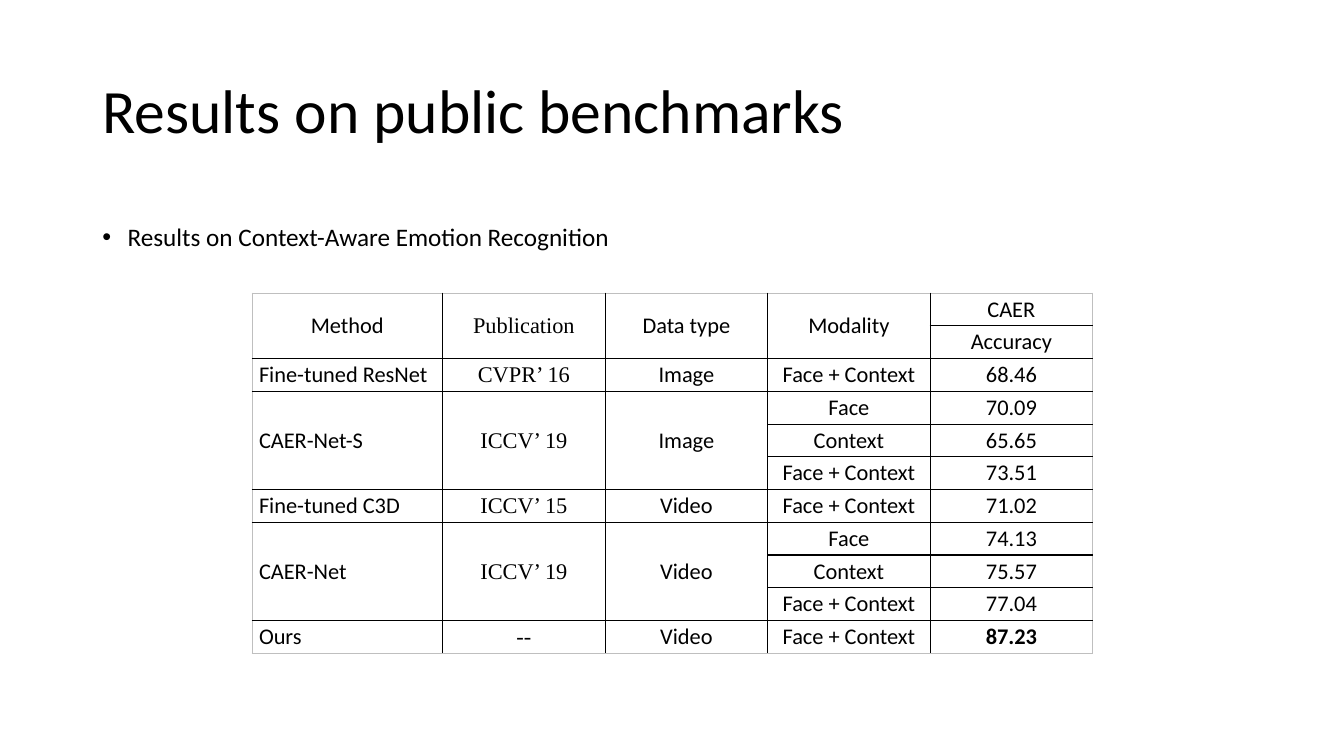
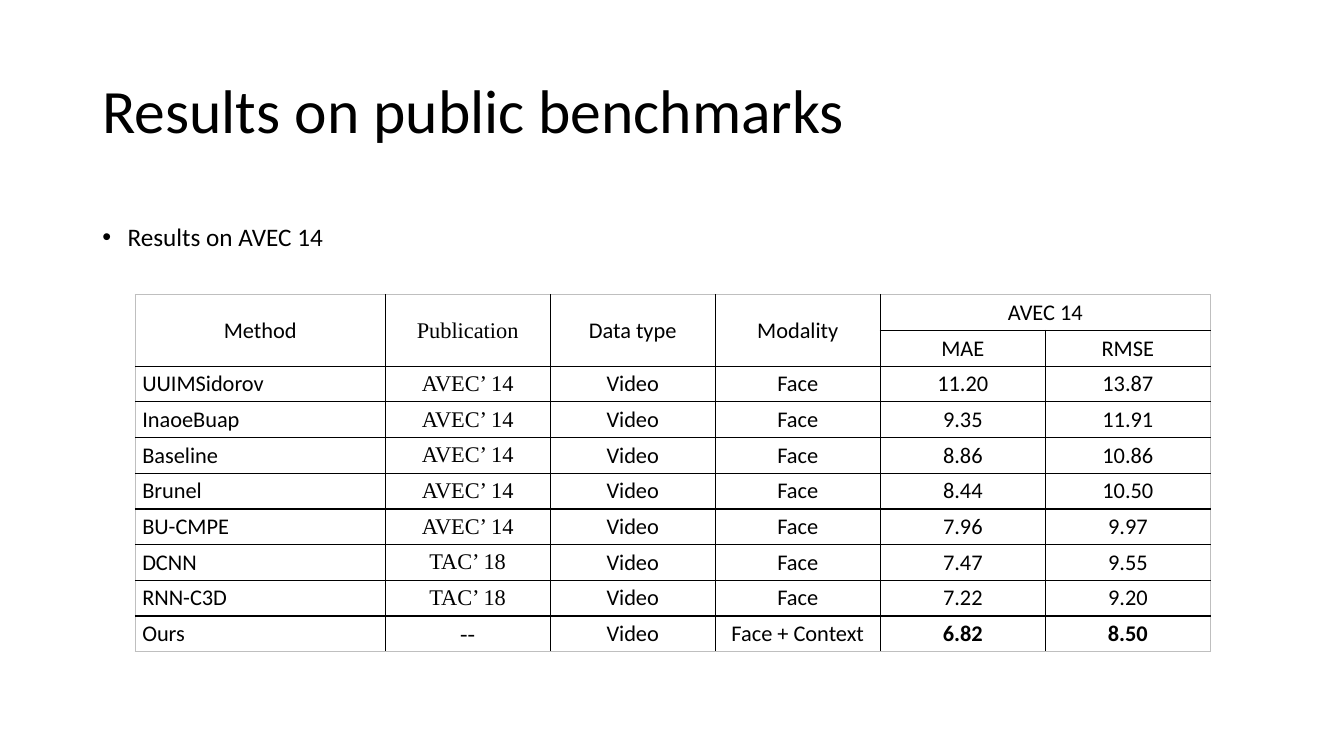
from dataclasses import dataclass

from lxml import etree
from pptx import Presentation, util as u
from pptx.dml import color
from pptx.enum import text
from pptx.oxml import ns
from pptx.table import Table

UP, LEFT = "^", "<"


@dataclass(frozen=True)
class Theme:
    """Colours, fonts, type sizes and line widths of the deck."""

    ink: str = "000000"
    edge: str = "BFBFBF"
    sans: str = "Calibri"
    serif: str = "Times New Roman"
    title_size: int = 44
    body_size: int = 18
    cell_size: int = 16
    rule: float = 1
    edge_rule: float = 0.75


@dataclass(frozen=True)
class Box:
    """A rectangle in units of the 160 by 90 slide grid."""

    x: float
    y: float
    w: float
    h: float


@dataclass(frozen=True)
class Benchmark:
    """One results slide: its bullet line and the table below it."""

    bullet: str
    x: float
    y: float
    first_col: float
    other_col: float
    row: float
    cells: list[list[str]]
    best: tuple[str, ...]


THEME = Theme()
UNIT = u.Inches(7.5) / 90
TITLE = "Results on public benchmarks"
TITLE_BOX = Box(11, 4.8, 138, 17.4)
BODY_BOX = Box(11, 24, 138, 64.8)
HEADER = ["Method", "Publication", "Data type", "Modality"]
SERIF_COL = 1

BENCHMARKS = [
    Benchmark(
        "Results on Context-Aware Emotion Recognition",
        30, 34.9, 22.7, 19.35, 3.9,
        [
            [*HEADER, "CAER"],
            [UP] * 4 + ["Accuracy"],
            ["Fine-tuned ResNet", "CVPR’ 16", "Image", "Face + Context", "68.46"],
            ["CAER-Net-S", "ICCV’ 19", "Image", "Face", "70.09"],
            [UP, UP, UP, "Context", "65.65"],
            [UP, UP, UP, "Face + Context", "73.51"],
            ["Fine-tuned C3D", "ICCV’ 15", "Video", "Face + Context", "71.02"],
            ["CAER-Net", "ICCV’ 19", "Video", "Face", "74.13"],
            [UP, UP, UP, "Context", "75.57"],
            [UP, UP, UP, "Face + Context", "77.04"],
            ["Ours", "--", "Video", "Face + Context", "87.23"],
        ],
        ("87.23",),
    ),
    Benchmark(
        "Results on AVEC 14",
        16.1, 35.1, 29.75, 19.65, 4.25,
        [
            [*HEADER, "AVEC 14", LEFT],
            [UP] * 4 + ["MAE", "RMSE"],
            ["UUIMSidorov", "AVEC’ 14", "Video", "Face", "11.20", "13.87"],
            ["InaoeBuap", "AVEC’ 14", "Video", "Face", "9.35", "11.91"],
            ["Baseline", "AVEC’ 14", "Video", "Face", "8.86", "10.86"],
            ["Brunel", "AVEC’ 14", "Video", "Face", "8.44", "10.50"],
            ["BU-CMPE", "AVEC’ 14", "Video", "Face", "7.96", "9.97"],
            ["DCNN", "TAC’ 18", "Video", "Face", "7.47", "9.55"],
            ["RNN-C3D", "TAC’ 18", "Video", "Face", "7.22", "9.20"],
            ["Ours", "--", "Video", "Face + Context", "6.82", "8.50"],
        ],
        ("6.82", "8.50"),
    ),
]


def grid(n: float) -> u.Emu:
    """Turn grid units into a length."""
    return u.Emu(round(n * UNIT))


def write(tf, words: str, *, size: float, font: str = THEME.sans, bold: bool = False,
          align=text.PP_ALIGN.LEFT, spacing: float = 1.0, bullet: str = "") -> None:
    """Put one formatted paragraph into a text frame."""
    p = tf.paragraphs[0]
    p.alignment, p.line_spacing, p.space_before = align, spacing, u.Pt(0)
    if bullet:
        pr = p._p.get_or_add_pPr()
        pr.set("marL", str(u.Inches(0.25)))
        pr.set("indent", str(-u.Inches(0.25)))
        etree.SubElement(pr, ns.qn("a:buFont"), typeface="Arial")
        etree.SubElement(pr, ns.qn("a:buChar"), char=bullet)
    r = p.add_run()
    r.text = words
    r.font.size, r.font.name, r.font.bold = u.Pt(size), font, bold
    r.font.color.rgb = color.RGBColor.from_string(THEME.ink)


def place(sp, box: Box, anchor) -> None:
    """Move a placeholder to a grid box and fix its text frame."""
    sp.left, sp.top, sp.width, sp.height = map(grid, (box.x, box.y, box.w, box.h))
    sp.text_frame.auto_size = text.MSO_AUTO_SIZE.NONE
    sp.text_frame.vertical_anchor = anchor


def set_borders(cell, outer: dict[str, bool]) -> None:
    """Draw the four cell sides, lighter on the rim of the table."""
    tc_pr = cell._tc.get_or_add_tcPr()
    for i, (side, rim) in enumerate(outer.items()):
        width = THEME.edge_rule if rim else THEME.rule
        ln = etree.Element(ns.qn(f"a:ln{side}"), w=str(u.Pt(width)))
        fill = etree.SubElement(ln, ns.qn("a:solidFill"))
        etree.SubElement(fill, ns.qn("a:srgbClr"), val=THEME.edge if rim else THEME.ink)
        tc_pr.insert(i, ln)


def span_of(cells: list[list[str]], row: int, col: int) -> tuple[int, int]:
    """Return the last row and column that a cell covers."""
    last_row, last_col = row, col
    while last_row + 1 < len(cells) and cells[last_row + 1][col] == UP:
        last_row += 1
    while last_col + 1 < len(cells[row]) and cells[row][last_col + 1] == LEFT:
        last_col += 1
    return last_row, last_col


def fill_table(table: Table, bench: Benchmark) -> None:
    """Merge, outline and write every cell of a results table."""
    cells = bench.cells
    for i, row in enumerate(cells):
        for j, words in enumerate(row):
            cell = table.cell(i, j)
            cell.fill.background()
            covered = words in (UP, LEFT)
            end_row, end_col = (i, j) if covered else span_of(cells, i, j)
            set_borders(cell, {"L": j == 0, "R": end_col == len(row) - 1,
                               "T": i == 0, "B": end_row == len(cells) - 1})
            if covered:
                continue
            if (end_row, end_col) != (i, j):
                cell.merge(table.cell(end_row, end_col))
            cell.margin_left = cell.margin_right = u.Inches(0.07)
            cell.margin_top = cell.margin_bottom = 0
            cell.vertical_anchor = text.MSO_ANCHOR.MIDDLE
            method = j == 0 and i > 0
            write(cell.text_frame, words, size=THEME.cell_size,
                  font=THEME.serif if j == SERIF_COL else THEME.sans,
                  bold=words in bench.best,
                  align=text.PP_ALIGN.LEFT if method else text.PP_ALIGN.CENTER)


def add_results(prs, bench: Benchmark) -> None:
    """Add one slide with title, bullet line and results table."""
    s = prs.slides.add_slide(prs.slide_layouts[1])
    title, body = s.shapes.title, s.placeholders[1]
    place(title, TITLE_BOX, text.MSO_ANCHOR.MIDDLE)
    write(title.text_frame, TITLE, size=THEME.title_size, spacing=0.9)
    place(body, BODY_BOX, text.MSO_ANCHOR.TOP)
    write(body.text_frame, bench.bullet, size=THEME.body_size, spacing=1.5,
          align=text.PP_ALIGN.JUSTIFY, bullet="•")

    rows, cols = len(bench.cells), len(bench.cells[0])
    width = bench.first_col + (cols - 1) * bench.other_col
    table = s.shapes.add_table(rows, cols, *map(
        grid, (bench.x, bench.y, width, rows * bench.row))).table
    table.first_row = table.horz_banding = False
    for j, col in enumerate(table.columns):
        col.width = grid(bench.other_col if j else bench.first_col)
    for row in table.rows:
        row.height = grid(bench.row)
    fill_table(table, bench)


def main() -> None:
    """Build and save the deck."""
    prs = Presentation()
    prs.slide_width, prs.slide_height = grid(160), grid(90)
    for bench in BENCHMARKS:
        add_results(prs, bench)
    prs.save("out.pptx")


if __name__ == "__main__":
    main()
